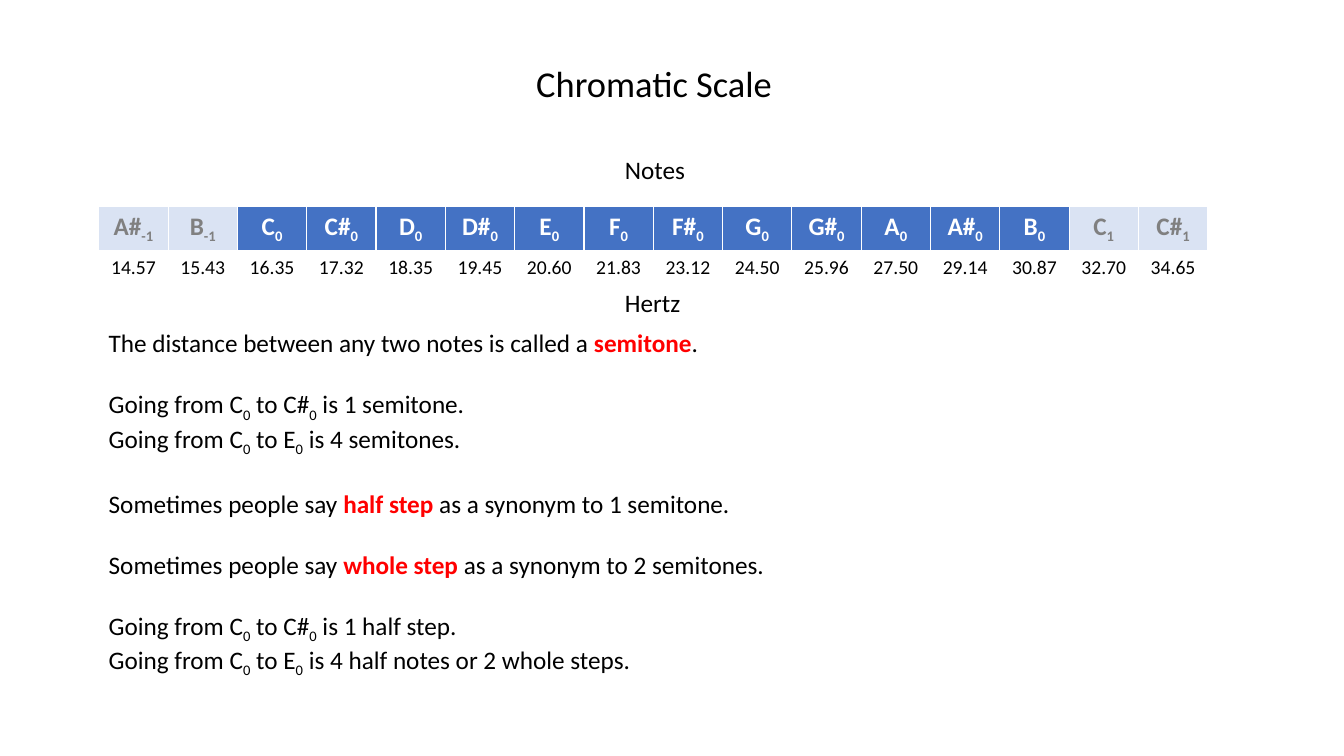
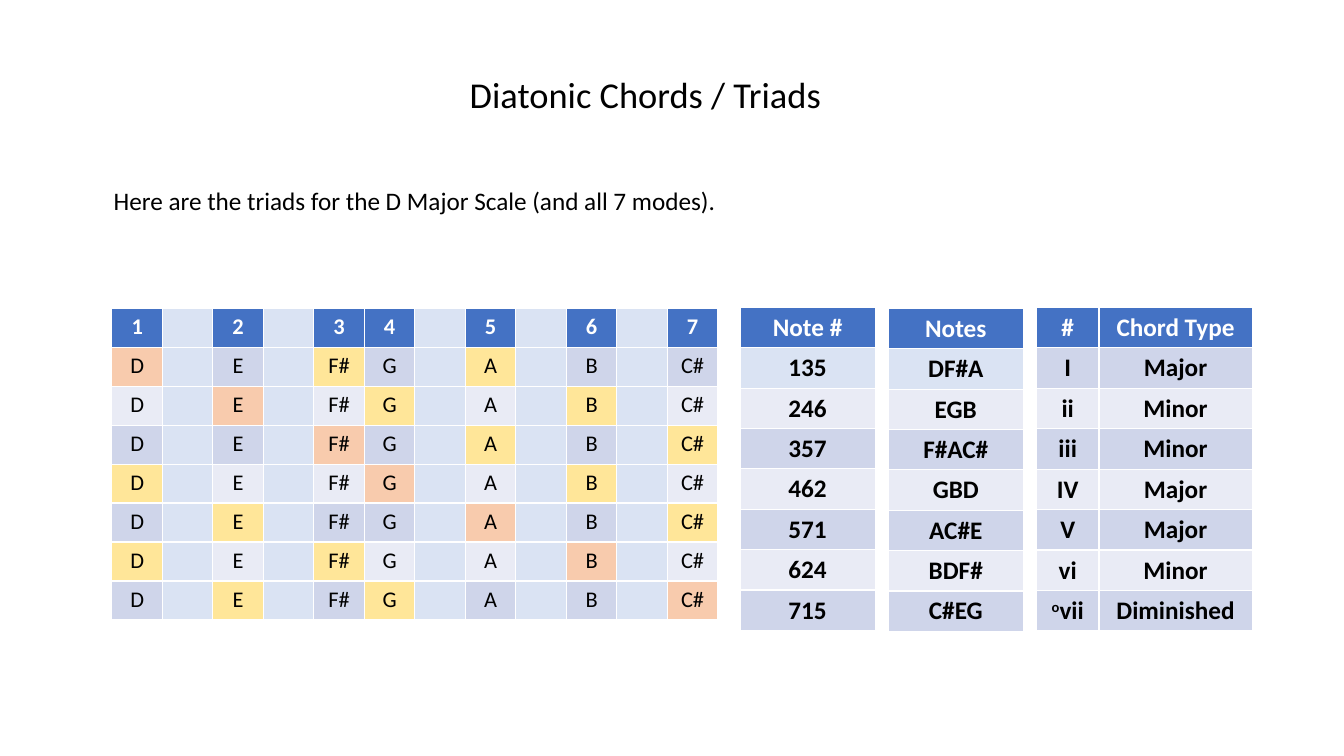
from dataclasses import dataclass, replace
from typing import Optional

from lxml import etree
from pptx import Presentation
from pptx.dml.color import RGBColor
from pptx.enum import text as text_enum
from pptx.oxml import ns
from pptx.slide import Slide
from pptx.util import Inches, Pt

FONT = "Calibri"
BLACK = RGBColor(0x00, 0x00, 0x00)
WHITE = RGBColor(0xFF, 0xFF, 0xFF)
GRAY = RGBColor(0x80, 0x80, 0x80)
RED = RGBColor(0xFF, 0x00, 0x00)
BLUE = RGBColor(0x44, 0x72, 0xC4)
PALE_BLUE = RGBColor(0xDA, 0xE3, 0xF3)
BANDS = (RGBColor(0xCF, 0xD5, 0xEA), RGBColor(0xE9, 0xEB, 0xF5))
ROOT_FILL = RGBColor(0xF8, 0xCB, 0xAD)
CHORD_FILL = RGBColor(0xFF, 0xE6, 0x99)

TITLE_SIZE = 26
BODY_SIZE = 18
SUBSCRIPT = -25
SUPERSCRIPT = 30


@dataclass(frozen=True)
class Run:
    text: str
    color: RGBColor = BLACK
    bold: bool = False
    baseline: int = 0


@dataclass(frozen=True)
class Line:
    runs: list[Run]
    space_before: float = 0


@dataclass(frozen=True)
class Box:
    left: float
    top: float
    width: float
    height: float


@dataclass(frozen=True)
class Cell:
    runs: list[Run]
    fill: Optional[RGBColor] = None
    size: int = BODY_SIZE


def add_runs(paragraph, runs: list[Run], size: int) -> None:
    for item in runs:
        run = paragraph.add_run()
        run.text = item.text
        run.font.name = FONT
        run.font.size = Pt(size)
        run.font.bold = item.bold
        run.font.color.rgb = item.color
        if item.baseline:
            run._r.get_or_add_rPr().set("baseline", str(item.baseline * 1000))


def add_text(slide: Slide, box: Box, lines: list[Line], size: int = BODY_SIZE,
             wrap: bool = False) -> None:
    shape = slide.shapes.add_textbox(Inches(box.left), Inches(box.top),
                                     Inches(box.width), Inches(box.height))
    frame = shape.text_frame
    frame.word_wrap = wrap
    frame.auto_size = text_enum.MSO_AUTO_SIZE.SHAPE_TO_FIT_TEXT
    for index, line in enumerate(lines):
        paragraph = frame.add_paragraph() if index else frame.paragraphs[0]
        paragraph.space_before = Pt(line.space_before)
        add_runs(paragraph, line.runs, size)


def add_label(slide: Slide, box: Box, label: str, size: int = BODY_SIZE,
              wrap: bool = False) -> None:
    add_text(slide, box, [Line([Run(label)])], size, wrap)


def add_grid(slide: Slide, box: Box, rows: list[list[Cell]],
             widths: Optional[list[float]] = None) -> None:
    column_count = len(rows[0])
    widths = widths or [box.width / column_count] * column_count
    table = slide.shapes.add_table(len(rows), column_count, Inches(box.left), Inches(box.top),
                                   Inches(box.width), Inches(box.height)).table
    for column, width in zip(table.columns, widths):
        column.width = Inches(width)
    for row_index, row in enumerate(rows):
        table.rows[row_index].height = Inches(box.height / len(rows))
        for column_index, item in enumerate(row):
            cell = table.cell(row_index, column_index)
            if item.fill is None:
                cell.fill.background()
            else:
                cell.fill.solid()
                cell.fill.fore_color.rgb = item.fill
            paragraph = cell.text_frame.paragraphs[0]
            paragraph.alignment = text_enum.PP_ALIGN.CENTER
            add_runs(paragraph, item.runs, item.size)
            if not item.runs:
                etree.SubElement(paragraph._p, ns.qn("a:endParaRPr"), sz=str(item.size * 100))


def note(name: str, octave: int, color: RGBColor = BLACK, bold: bool = False) -> list[Run]:
    return [Run(name, color, bold), Run(str(octave), color, bold, SUBSCRIPT)]


def interval(upper: str, ending: str) -> list[Run]:
    return [Run("Going from "), *note("C", 0), Run(" to "), *note(upper, 0), Run(ending)]


def definition(before: str, term: str, after: str) -> list[Run]:
    return [Run(before), Run(term, RED, True), Run(after)]


def header(label: str, size: int = BODY_SIZE) -> Cell:
    return Cell([Run(label, WHITE, True)], BLUE, size)


def banded(label: str, index: int) -> Cell:
    return Cell([Run(label, bold=True)], BANDS[index % 2])


def build_chromatic_scale(slide: Slide) -> None:
    pitches = [("A#", -1, "14.57"), ("B", -1, "15.43"), ("C", 0, "16.35"), ("C#", 0, "17.32"),
               ("D", 0, "18.35"), ("D#", 0, "19.45"), ("E", 0, "20.60"), ("F", 0, "21.83"),
               ("F#", 0, "23.12"), ("G", 0, "24.50"), ("G#", 0, "25.96"), ("A", 0, "27.50"),
               ("A#", 0, "29.14"), ("B", 0, "30.87"), ("C", 1, "32.70"), ("C#", 1, "34.65")]
    note_row = [Cell(note(name, octave, GRAY if octave else WHITE, True),
                     PALE_BLUE if octave else BLUE) for name, octave, _ in pitches]
    hertz_row = [Cell([Run(hertz)], size=14) for _, _, hertz in pitches]
    add_grid(slide, Box(0.98, 2.05, 11, 0.81), [note_row, hertz_row])
    add_label(slide, Box(5.22, 0.56, 2.57, 0.54), "Chromatic Scale", TITLE_SIZE)
    gap = 22
    synonym = "Sometimes people say "
    add_text(slide, Box(0.98, 3.2, 6.77, 3.64), [
        Line(definition("The distance between any two notes is called a ", "semitone", ".")),
        Line(interval("C#", " is 1 semitone."), gap),
        Line(interval("E", " is 4 semitones.")),
        Line(definition(synonym, "half step", " as a synonym to 1 semitone."), gap),
        Line(definition(synonym, "whole step", " as a synonym to 2 semitones."), gap),
        Line(interval("C#", " is 1 half step."), gap),
        Line(interval("E", " is 4 half notes or 2 whole steps.")),
    ])
    add_label(slide, Box(6.1, 2.8, 0.76, 0.4), "Hertz")
    add_label(slide, Box(6.1, 1.48, 0.8, 0.4), "Notes")


def build_triads(slide: Slide) -> None:
    add_label(slide, Box(4.56, 0.67, 3.72, 0.54), "Diatonic Chords / Triads", TITLE_SIZE)
    add_label(slide, Box(1.03, 1.79, 10.94, 0.4),
              "Here are the triads for the D Major Scale (and all 7 modes).", wrap=True)

    scale = ["D", "E", "F#", "G", "A", "B", "C#"]
    semitones = [0, 2, 4, 5, 7, 9, 11]
    triads = [[(root + step) % 7 for step in (0, 2, 4)] for root in range(7)]
    size = 16
    rows = [[Cell([], PALE_BLUE, size) for _ in range(12)] for _ in range(8)]
    for degree, column in enumerate(semitones):
        rows[0][column] = header(str(degree + 1), size)
        for root, triad in enumerate(triads):
            fill = BANDS[root % 2]
            if degree in triad:
                fill = ROOT_FILL if degree == root else CHORD_FILL
            rows[root + 1][column] = Cell([Run(scale[degree])], fill, size)
    add_grid(slide, Box(1.11, 3.06, 6.01, 3.09), rows)

    numbers = ["135", "246", "357", "462", "571", "624", "715"]
    chords = ["".join(scale[degree] for degree in triad) for triad in triads]
    for box, label, values in [(Box(7.34, 3.05, 1.34, 3.2), "Note #", numbers),
                               (Box(8.81, 3.06, 1.34, 3.2), "Notes", chords)]:
        cells = [banded(value, index) for index, value in enumerate(values)]
        cells[0] = replace(cells[0], fill=PALE_BLUE)
        add_grid(slide, box, [[cell] for cell in [header(label), *cells]])

    chord_types = [("I", "Major"), ("ii", "Minor"), ("iii", "Minor"), ("IV", "Major"),
                   ("V", "Major"), ("vi", "Minor"), ("vii", "Diminished")]
    type_rows = [[banded(numeral, index), banded(quality, index)]
                 for index, (numeral, quality) in enumerate(chord_types)]
    type_rows[-1][0].runs.insert(0, Run("o", bold=True, baseline=SUPERSCRIPT))
    add_grid(slide, Box(10.28, 3.05, 2.14, 3.21),
             [[header("#"), header("Chord Type")], *type_rows], [0.62, 1.52])


def main() -> None:
    presentation = Presentation()
    presentation.slide_width = Inches(13.33)
    presentation.slide_height = Inches(7.5)
    blank = presentation.slide_layouts[6]
    for build in (build_chromatic_scale, build_triads):
        build(presentation.slides.add_slide(blank))
    presentation.save("out.pptx")


main()
